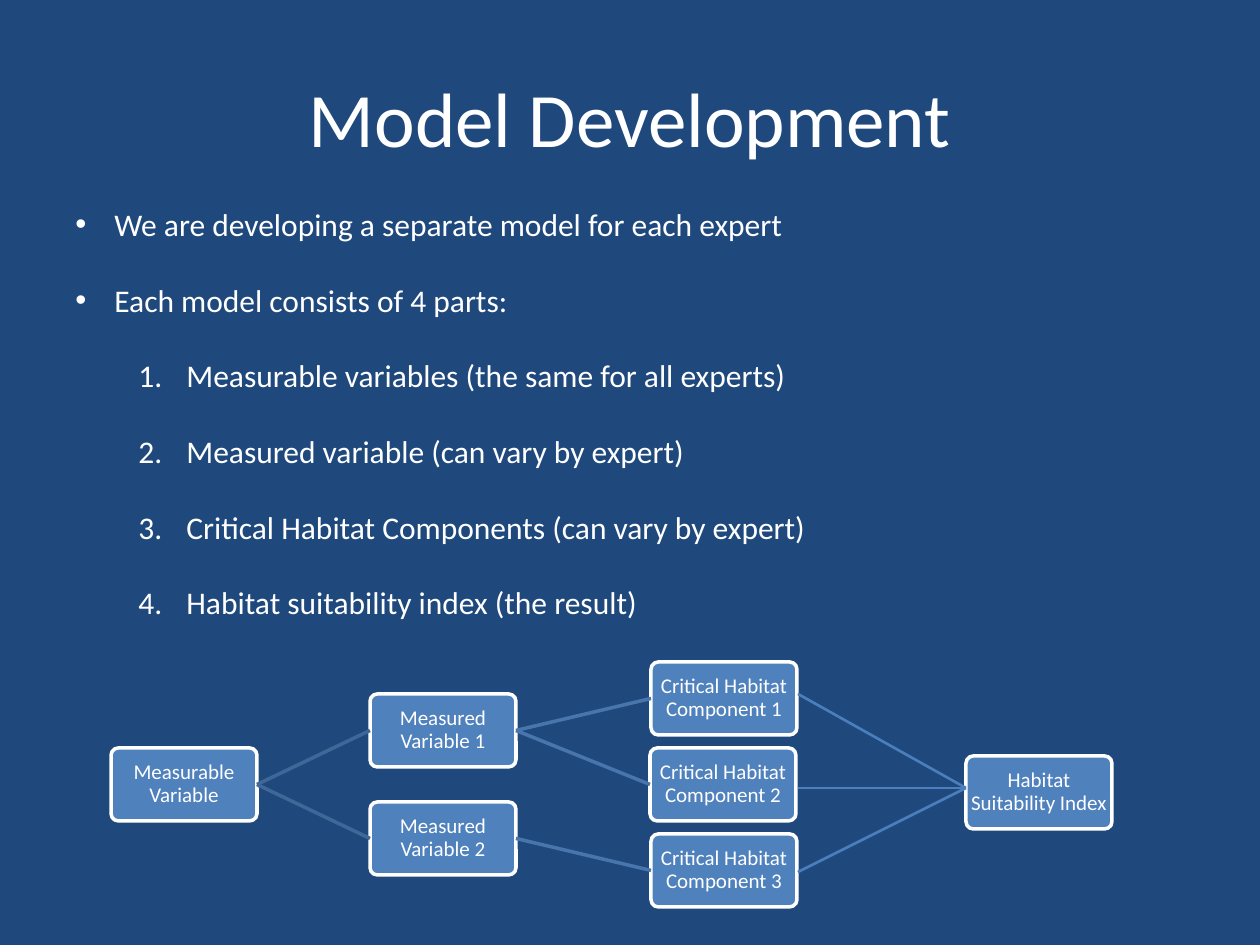
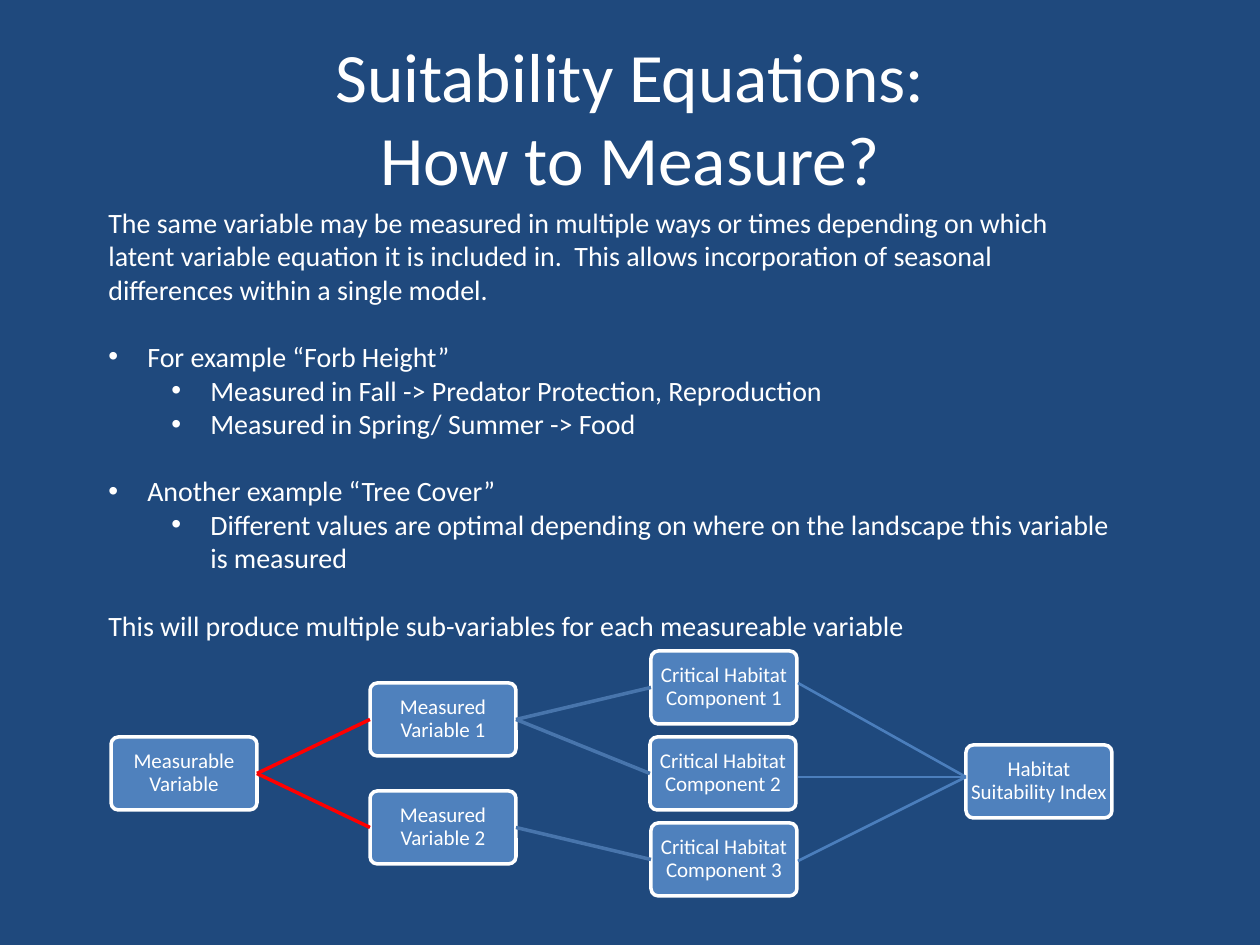
"""Build two slides on habitat model development, each with the same model tree."""
from lxml import etree
from pptx import Presentation
from pptx.dml.color import RGBColor
from pptx.enum.shapes import MSO_CONNECTOR as Connector, MSO_SHAPE as Shape
from pptx.enum.text import MSO_ANCHOR as Anchor, MSO_AUTO_SIZE as AutoSize, PP_ALIGN as Align
from pptx.oxml.ns import qn
from pptx.util import Emu, Pt

SCALE = 914400 // 126
FONT = "Calibri"
NAVY, BLUE, WHITE, RED = "1F497D", "4F81BD", "FFFFFF", "FF0000"
FIRST_LINK, SECOND_LINK, INDEX_LINK = "3F6797", "4875AC", "4B7EBC"

TITLE_BOX = (63, 38, 1134, 157)
PLAIN, BULLET, SUB_BULLET, NUMBER = "plain", "bullet", "sub-bullet", "number"
STYLES = {
    PLAIN: dict(level=0, margin=0, hanging=0, mark=None),
    BULLET: dict(level=0, margin=39, hanging=39, mark=("a:buChar", {"char": "•"})),
    SUB_BULLET: dict(level=1, margin=102, hanging=39, mark=("a:buChar", {"char": "•"})),
    NUMBER: dict(level=1, margin=111, hanging=48, mark=("a:buAutoNum", {"type": "arabicPeriod"})),
}
SLIDES = [
    dict(
        title="Model Development", title_size=44, body_box=(63, 199, 1113, 432), body_size=18,
        tree_top=748, first_link=FIRST_LINK,
        body=[
            (BULLET, False, "We are developing a separate model for each expert"),
            (BULLET, True, "Each model consists of 4 parts:"),
            (NUMBER, True, "Measurable variables (the same for all experts)"),
            (NUMBER, True, "Measured variable (can vary by expert)"),
            (NUMBER, True, "Critical Habitat Components (can vary by expert)"),
            (NUMBER, True, "Habitat suitability index (the result)"),
        ],
    ),
    dict(
        title="Suitability Equations:\vHow to Measure?", title_size=39.6,
        body_box=(96, 199, 1029, 454), body_size=16, tree_top=737, first_link=RED,
        body=[
            (PLAIN, False, "The same variable may be measured in multiple ways or times depending on which "
             "latent variable equation it is included in.  This allows incorporation of seasonal "
             "differences within a single model."),
            (BULLET, True, "For example “Forb Height”"),
            (SUB_BULLET, False, "Measured in Fall -> Predator Protection, Reproduction"),
            (SUB_BULLET, False, "Measured in Spring/ Summer -> Food"),
            (BULLET, True, "Another example “Tree Cover”"),
            (SUB_BULLET, False, "Different values are optimal depending on where on the landscape "
             "this variable is measured"),
            (PLAIN, True, "This will produce multiple sub-variables for each measureable variable"),
        ],
    ),
]

NODE_WIDTH, NODE_HEIGHT = 146, 73
MEASURED_STEP, COMPONENT_STEP = 54, 86
ROOT, FIRST, SECOND = "Measurable Variable", "Measured Variable 1", "Measured Variable 2"
NODES = [
    (ROOT, 111, 0, None),
    (FIRST, 370, -MEASURED_STEP, ROOT),
    ("Critical Habitat Component 1", 651, -COMPONENT_STEP, FIRST),
    ("Critical Habitat Component 2", 650, 0, FIRST),
    (SECOND, 370, MEASURED_STEP, ROOT),
    ("Critical Habitat Component 3", 651, COMPONENT_STEP, SECOND),
    ("Habitat Suitability Index", 966, 8, None),
]
INDEX_FROM, INDEX_TO = 798, (966, 40)
INDEX_STARTS = (-54, 40, 124)


def pixels(*values):
    return [Emu(value * SCALE) for value in values]


def color(value):
    return RGBColor.from_string(value)


def assign(target, values):
    for name, value in values.items():
        setattr(target, name, value)


def write(paragraph, text, size, **values):
    paragraph.text = text
    assign(paragraph, values)
    for run in paragraph.runs:
        assign(run.font, dict(name=FONT, size=Pt(size)))
        run.font.color.rgb = color(WHITE)


def add_title(slide, text, size):
    frame = slide.shapes.add_textbox(*pixels(*TITLE_BOX)).text_frame
    assign(frame, dict(word_wrap=True, vertical_anchor=Anchor.MIDDLE))
    write(frame.paragraphs[0], text, size, alignment=Align.CENTER)


def add_body(slide, box, size, items):
    frame = slide.shapes.add_textbox(*pixels(*box)).text_frame
    assign(frame, dict(word_wrap=True, auto_size=AutoSize.SHAPE_TO_FIT_TEXT))
    for index, (kind, spaced, text) in enumerate(items):
        paragraph = frame.add_paragraph() if index else frame.paragraphs[0]
        style = STYLES[kind]
        write(paragraph, text, size, level=style["level"],
              space_before=Pt(1.2 * size if spaced else 0))
        properties = paragraph._p.get_or_add_pPr()
        margin, hanging = pixels(style["margin"], style["hanging"])
        properties.set("marL", str(margin))
        properties.set("indent", str(-hanging))
        if style["mark"]:
            tag, attributes = style["mark"]
            etree.SubElement(properties, qn("a:buFont"), typeface="Arial" if "char" in attributes else FONT)
            etree.SubElement(properties, qn(tag), attributes)


def add_link(slide, start, end, line_color, width):
    link = slide.shapes.add_connector(Connector.STRAIGHT, *pixels(*start, *end))
    link.line.color.rgb = color(line_color)
    link.line.width = Pt(width)
    etree.SubElement(link._element.spPr, qn("a:effectLst"))
    return link


def add_node(slide, text, left, top):
    node = slide.shapes.add_shape(Shape.ROUNDED_RECTANGLE, *pixels(left, top, NODE_WIDTH, NODE_HEIGHT))
    node.shadow.inherit = False
    node.adjustments[0] = 0.1
    node.fill.solid()
    node.fill.fore_color.rgb = color(BLUE)
    node.line.color.rgb = color(WHITE)
    node.line.width = Pt(2)
    frame = node.text_frame
    assign(frame, dict(word_wrap=True, vertical_anchor=Anchor.MIDDLE))
    assign(frame, dict.fromkeys(("margin_left", "margin_top", "margin_right", "margin_bottom"), pixels(1)[0]))
    write(frame.paragraphs[0], text, 12, alignment=Align.CENTER, line_spacing=0.9)
    return node


def add_tree(slide, tree_top, first_link):
    nodes = {}
    for text, left, offset, parent in NODES:
        nodes[text] = add_node(slide, text, left, tree_top + offset)
        if parent:
            link = add_link(slide, (0, 0), (1, 1), first_link if parent == ROOT else SECOND_LINK, 2)
            link.begin_connect(nodes[parent], 3)
            link.end_connect(nodes[text], 1)
    end_left, end_offset = INDEX_TO
    for offset in INDEX_STARTS:
        add_link(slide, (INDEX_FROM, tree_top + offset), (end_left, tree_top + end_offset), INDEX_LINK, 1.5)


presentation = Presentation()
presentation.slide_width, presentation.slide_height = pixels(1260, 945)
for content in SLIDES:
    slide = presentation.slides.add_slide(presentation.slide_layouts[6])
    slide.background.fill.solid()
    slide.background.fill.fore_color.rgb = color(NAVY)
    add_title(slide, content["title"], content["title_size"])
    add_body(slide, content["body_box"], content["body_size"], content["body"])
    add_tree(slide, content["tree_top"], content["first_link"])
presentation.save("out.pptx")
